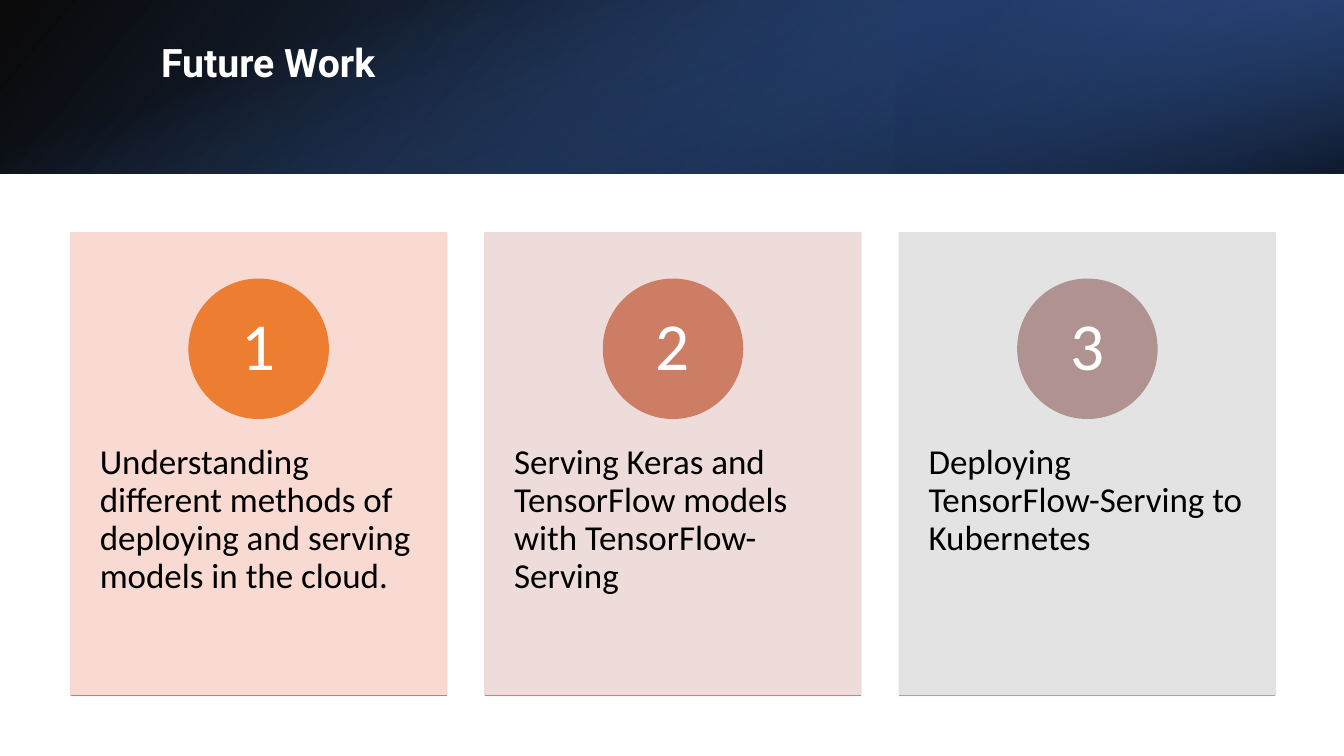
from pptx import Presentation
from pptx import util as u
from pptx.dml.color import RGBColor
from pptx.enum import shapes, text
from pptx.oxml.ns import qn
from pptx.oxml.xmlchemy import OxmlElement

BLACK = RGBColor(0x00, 0x00, 0x00)
WHITE = RGBColor(0xFF, 0xFF, 0xFF)
NAVY = RGBColor(0x20, 0x38, 0x64)
DEEP_BLUE = RGBColor(0x2F, 0x55, 0x97)
BLUE = RGBColor(0x44, 0x72, 0xC4)
PEACH = RGBColor(0xF8, 0xD7, 0xCE)
ROSE = RGBColor(0xED, 0xD9, 0xD7)
PALE_GRAY = RGBColor(0xE1, 0xE1, 0xE1)
ORANGE = RGBColor(0xED, 0x7D, 0x31)
TERRACOTTA = RGBColor(0xCC, 0x7D, 0x64)
MAUVE = RGBColor(0xB0, 0x93, 0x91)
ORANGE_RULE = RGBColor(0xDC, 0x7A, 0x4B)
CLAY_RULE = RGBColor(0xBD, 0x86, 0x7B)
GRAY_RULE = RGBColor(0xA5, 0xA5, 0xA5)

WIDTH, HEIGHT = 13.33, 7.5
BANNER_HEIGHT = 1.72
CARD_LEFT, CARD_TOP, CARD_WIDTH, CARD_HEIGHT = 0.7, 2.31, 3.73, 4.59
CARD_STEP = 4.11
CIRCLE_SIZE, CIRCLE_TOP = 1.38, 2.77
BODY_TOP, BODY_HEIGHT = 4.05, 2.75

CARDS = [
    ("Understanding different methods of deploying and serving models in the cloud.",
     PEACH, ORANGE, ORANGE_RULE),
    ("Serving Keras and TensorFlow models with TensorFlow-Serving",
     ROSE, TERRACOTTA, CLAY_RULE),
    ("Deploying TensorFlow-Serving to Kubernetes",
     PALE_GRAY, MAUVE, GRAY_RULE),
]


def inches(*lengths):
    return [u.Inches(length) for length in lengths]


def set_opacity(color_element, percent):
    alpha = OxmlElement("a:alpha")
    alpha.set("val", str(percent * 1000))
    color_element.append(alpha)


def write_text(shape, words, size, color, font="Calibri", bold=False,
               align=text.PP_ALIGN.LEFT, anchor=text.MSO_ANCHOR.TOP,
               insets=(0.1, 0.05)):
    """Fill a shape with one paragraph; insets are (horizontal, vertical)."""
    frame = shape.text_frame
    frame.word_wrap = True
    frame.vertical_anchor = anchor
    frame.margin_left = frame.margin_right = u.Inches(insets[0])
    frame.margin_top = frame.margin_bottom = u.Inches(insets[1])
    para = frame.paragraphs[0]
    para.alignment = align
    para.line_spacing = 0.9
    span = para.add_run()
    span.text = words
    span.font.name = font
    span.font.size = u.Pt(size)
    span.font.bold = bold
    span.font.color.rgb = color


class Painter:
    """Holds the line style and the slide being drawn."""

    line_width = u.Pt(1)

    def __init__(self, page):
        self.page = page

    def gradient(self, left, top, width, height, stops, angle, rotation=0, flip=False):
        """Draw a rectangle; stops are (position, colour, opacity), angle is clockwise."""
        box = self.page.shapes.add_shape(
            shapes.MSO_SHAPE.RECTANGLE, *inches(left, top, width, height))
        box.shadow.inherit = False
        box.line.fill.background()
        box.rotation = rotation
        if flip:
            box._element.spPr.find(qn("a:xfrm")).set("flipH", "1")
        box.fill.gradient()
        box.fill.gradient_angle = 360 - angle
        for stop, (position, color, _) in zip(box.fill.gradient_stops, stops):
            stop.position = position
            stop.color.rgb = color
        colors = box._element.spPr.iter(qn("a:srgbClr"))
        for color_element, (_, _, opacity) in zip(colors, stops):
            set_opacity(color_element, opacity)

    def shape(self, kind, left, top, width, height, color, opacity=100):
        shape = self.page.shapes.add_shape(kind, *inches(left, top, width, height))
        shape.shadow.inherit = False
        shape.fill.solid()
        shape.fill.fore_color.rgb = color
        shape.line.color.rgb = color
        shape.line.width = self.line_width
        if opacity < 100:
            for color_element in shape._element.spPr.iter(qn("a:srgbClr")):
                set_opacity(color_element, opacity)
        return shape

    def label(self, left, top, width, height, words, **style):
        box = self.page.shapes.add_textbox(*inches(left, top, width, height))
        write_text(box, words, **style)

    def rule(self, left, top, width, color):
        line = self.page.shapes.add_connector(
            shapes.MSO_CONNECTOR.STRAIGHT, *inches(left, top, left + width, top))
        line.line.color.rgb = color
        line.line.width = self.line_width
        line._element.spPr.append(OxmlElement("a:effectLst"))

    def card(self, left, number, words, tint, accent, rule_color):
        self.shape(shapes.MSO_SHAPE.RECTANGLE, left, CARD_TOP, CARD_WIDTH,
                   CARD_HEIGHT, tint, opacity=90)
        self.label(left, BODY_TOP, CARD_WIDTH, BODY_HEIGHT, words,
                   size=25, color=BLACK, insets=(0.29, 0.36))
        circle_left = left + (CARD_WIDTH - CIRCLE_SIZE) / 2
        circle = self.shape(shapes.MSO_SHAPE.OVAL, circle_left, CIRCLE_TOP,
                            CIRCLE_SIZE, CIRCLE_SIZE, accent)
        write_text(circle, str(number), size=48, color=WHITE, insets=(0.11, 0.01),
                   align=text.PP_ALIGN.CENTER, anchor=text.MSO_ANCHOR.MIDDLE)
        self.rule(left, CARD_TOP + CARD_HEIGHT, CARD_WIDTH, rule_color)


def main():
    deck = Presentation()
    deck.slide_width, deck.slide_height = inches(WIDTH, HEIGHT)
    painter = Painter(deck.slides.add_slide(deck.slide_layouts[6]))

    painter.gradient(0, 0, WIDTH, BANNER_HEIGHT,
                     [(0, BLACK, 96), (1, DEEP_BLUE, 100)], 140, flip=True)
    painter.gradient(WIDTH * 2 / 3, 0, WIDTH / 3, BANNER_HEIGHT,
                     [(0.19, NAVY, 68), (1, BLUE, 79)], 320, rotation=180, flip=True)
    # A quarter turn swaps the sides, so the upright box is centred on the banner.
    painter.gradient((WIDTH - BANNER_HEIGHT) / 2, (BANNER_HEIGHT - WIDTH) / 2,
                     BANNER_HEIGHT, WIDTH,
                     [(0.23, BLUE, 0), (0.99, BLACK, 74)], 340, rotation=90)
    painter.label(1.5, 0.38, 10.98, 0.96, "Future Work",
                  size=28, color=WHITE, font="Roboto", bold=True)

    for index, card in enumerate(CARDS):
        painter.card(CARD_LEFT + index * CARD_STEP, index + 1, *card)

    deck.save("out.pptx")


if __name__ == "__main__":
    main()
